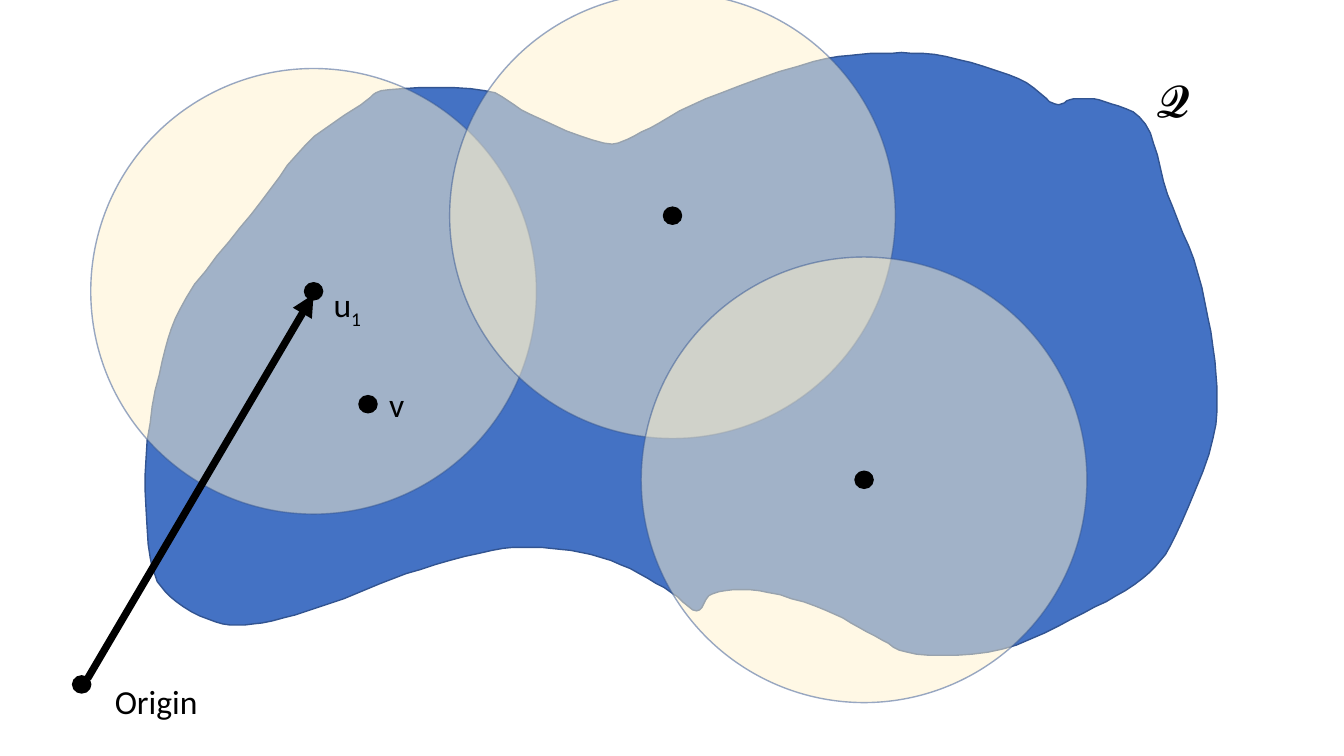
from lxml import etree
from pptx import Presentation
from pptx.dml.color import RGBColor
from pptx.enum.shapes import MSO_CONNECTOR, MSO_SHAPE
from pptx.oxml.ns import qn
from pptx.util import Inches, Pt

OVAL = MSO_SHAPE.OVAL
STRAIGHT = MSO_CONNECTOR.STRAIGHT
COLORS = {"area": "4472C4", "edge": "325491", "ball": "FFF2CC", "ink": "000000"}
FONT = "Calibri"
RADIUS = 2.21
STEPS = 6
BALLS = [(3.11, 2.89), (6.67, 2.14), (8.57, 4.76)]
SPOTS = [(0.81, 6.79), (3.65, 4.01)]
LABELS = [
    ("\U0001D4E0", "", 11.38, 0.67, 0.52, 0.64, 32, True),
    ("Origin", "", 1.04, 6.71, 1.03, 0.5, 24, False),
    ("v", "", 3.76, 3.76, 0.35, 0.5, 24, False),
    ("u", "1", 3.21, 2.77, 0.49, 0.5, 24, False),
]
OUTLINE = [
    (6.91, 6.06), (6.59, 5.83), (6.06, 5.56), (5.46, 5.44), (4.88, 5.46),
    (4.03, 5.69), (3.29, 5.98), (2.6, 6.18), (2.14, 6.17), (1.69, 5.92),
    (1.49, 5.53), (1.45, 4.53), (1.61, 3.58), (1.85, 2.95), (2.49, 2.13),
    (3.03, 1.44), (3.58, 1.04), (3.86, 0.89), (4.81, 0.9), (5.25, 1.13),
    (5.99, 1.42), (6.36, 1.31), (7, 0.98), (8.07, 0.61), (8.73, 0.53),
    (9.38, 0.56), (10.1, 0.78), (10.46, 1.03), (10.65, 0.98), (10.96, 1.01),
    (11.36, 1.23), (11.58, 1.93), (11.88, 2.71), (12.05, 3.58), (12.03, 4.35),
    (11.66, 5.31), (11.33, 5.74), (10.75, 6.08), (9.94, 6.44), (9.09, 6.49),
    (8.68, 6.31), (8.18, 6.05), (7.53, 5.86), (7.07, 5.89),
]


def curve(knots):
    """Return points of a smooth closed curve through the knots."""
    points = []
    for i, b in enumerate(knots):
        a, c, d = (knots[(i + k) % len(knots)] for k in (-1, 1, 2))
        for step in range(STEPS):
            t = step / STEPS
            points.append(tuple(
                q + t / 2 * (r - p + t * (2 * p - 5 * q + 4 * r - s
                                          + t * (3 * (q - r) + s - p)))
                for p, q, r, s in zip(a, b, c, d)))
    return points


class Sketch:
    """Draws styled elements on the current slide."""

    def __init__(self, deck):
        self.slide = deck.slides.add_slide(deck.slide_layouts[6])
        self.shapes = self.slide.shapes

    def paint(self, shape, fill, edge, alpha=None):
        shape.shadow.inherit = False
        shape.fill.solid()
        shape.fill.fore_color.rgb = RGBColor.from_string(COLORS[fill])
        shape.line.color.rgb = RGBColor.from_string(COLORS[edge])
        shape.line.width = Pt(1)
        if alpha:
            for tint in shape.element.spPr.iter(qn("a:srgbClr")):
                etree.SubElement(tint, qn("a:alpha"), val=str(alpha * 1000))

    def area(self, knots):
        start, *rest = [(round(x * 100), round(y * 100)) for x, y in curve(knots)]
        pen = self.shapes.build_freeform(*start, scale=Inches(0.01))
        pen.add_line_segments(rest, close=True)
        self.paint(pen.convert_to_shape(), "area", "edge")

    def oval(self, x, y, wide, high, fill, edge, alpha=None):
        shape = self.shapes.add_shape(
            OVAL, Inches(x - wide / 2), Inches(y - high / 2), Inches(wide), Inches(high))
        self.paint(shape, fill, edge, alpha)

    def dot(self, x, y):
        self.oval(x, y, 0.18, 0.17, "ink", "ink")

    def ball(self, x, y):
        self.oval(x, y, 2 * RADIUS, 2 * RADIUS, "ball", "edge", 50)
        self.dot(x, y)

    def arrow(self, x, y, to_x, to_y):
        line = self.shapes.add_connector(
            STRAIGHT, Inches(x), Inches(y), Inches(to_x), Inches(to_y))
        line.line.color.rgb = RGBColor.from_string(COLORS["ink"])
        line.line.width = Pt(5.25)
        props = line.element.spPr
        etree.SubElement(props.find(qn("a:ln")), qn("a:tailEnd"), type="triangle")
        etree.SubElement(props, qn("a:effectLst"))

    def label(self, text, sub, x, y, wide, high, size, bold):
        box = self.shapes.add_textbox(Inches(x), Inches(y), Inches(wide), Inches(high))
        box.text_frame.word_wrap = False
        par = box.text_frame.paragraphs[0]
        par.font.name = FONT
        par.font.size = Pt(size)
        par.font.bold = bold
        par.font.color.rgb = RGBColor.from_string(COLORS["ink"])
        par.add_run().text = text
        if sub:
            run = par.add_run()
            run.text = sub
            run.font.size = Pt(size)
            run._r.find(qn("a:rPr")).set("baseline", "-25000")


deck = Presentation()
deck.slide_width, deck.slide_height = Inches(13.33), Inches(7.5)
sketch = Sketch(deck)
sketch.area(OUTLINE)
for spot in BALLS:
    sketch.ball(*spot)
for spot in SPOTS:
    sketch.dot(*spot)
sketch.arrow(0.87, 6.73, 3.11, 2.92)
for item in LABELS:
    sketch.label(*item)
deck.save("out.pptx")
